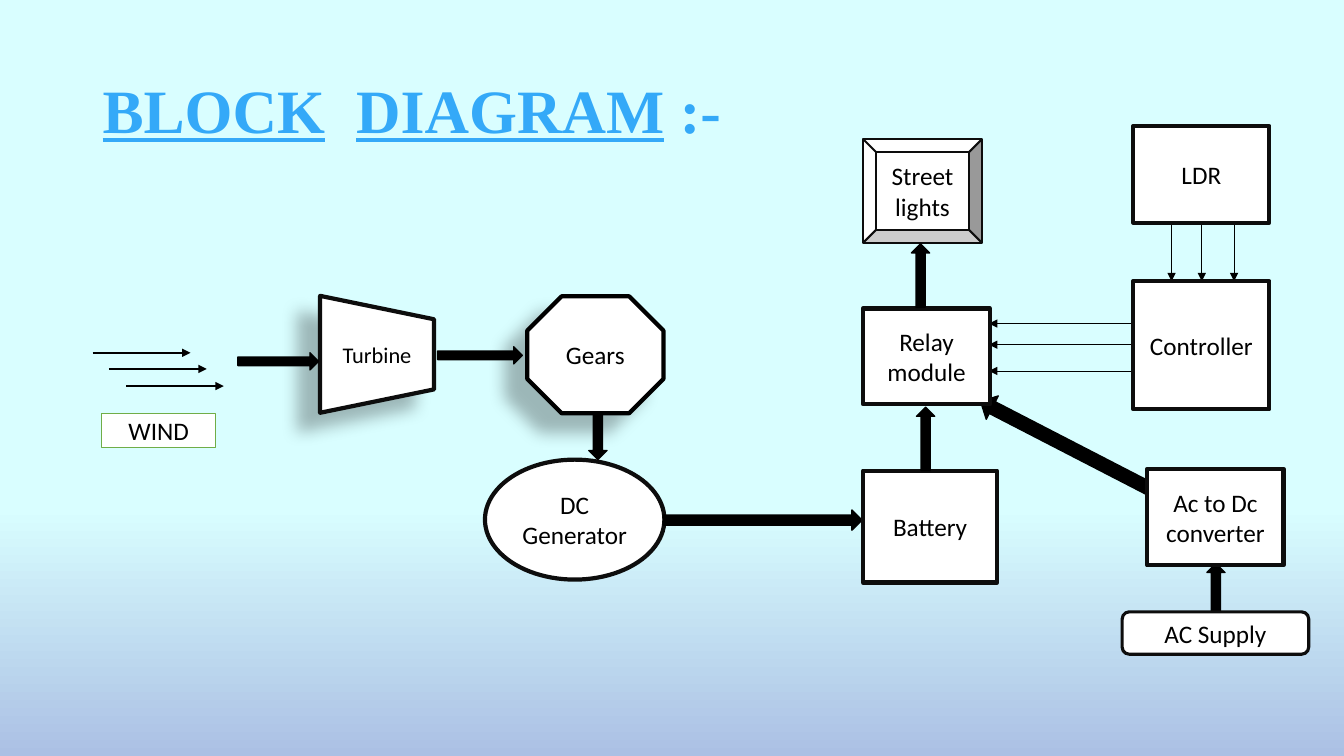
from dataclasses import dataclass
from typing import Any

from lxml import etree
from pptx import Presentation
from pptx.dml.color import RGBColor
from pptx.enum import shapes, text
from pptx.oxml.ns import qn
from pptx import util as u

PX = 9144
KIND = shapes.MSO_SHAPE


@dataclass(frozen=True)
class Theme:
    sky: str = "D9FEFF"
    dusk: str = "ABC0E4"
    heading: str = "34A9F8"
    paper: str = "FFFFFF"
    ink: str = "000000"
    border: str = "0D0D0D"
    wind: str = "70AD47"
    body_font: str = "Calibri"
    heading_font: str = "Times New Roman"
    heading_size: int = 44
    body_size: int = 18
    small_size: int = 16


THEME = Theme()


def rgb(colour):
    return RGBColor.from_string(colour)


@dataclass
class Region:
    slide: Any
    left: int
    top: int
    width: int
    height: int

    def place(self, x, y):
        return (self.left + x) * PX, (self.top + y) * PX

    def solid(self, kind, x, y, width, height, fill, border, weight):
        part = self.slide.shapes.add_shape(kind, *self.place(x, y), width * PX, height * PX)
        part.shadow.inherit = False
        part.fill.solid()
        part.fill.fore_color.rgb = rgb(fill)
        part.line.color.rgb = rgb(border)
        part.line.width = u.Pt(weight)
        return part

    def block(self, label, kind, x, y, width, height,
              border=THEME.border, weight=3, size=THEME.body_size):
        part = self.solid(kind, x, y, width, height, THEME.paper, border, weight)
        frame = part.text_frame
        frame.word_wrap = True
        frame.vertical_anchor = text.MSO_ANCHOR.MIDDLE
        frame.text = label
        for paragraph in frame.paragraphs:
            paragraph.alignment = text.PP_ALIGN.CENTER
            for run in paragraph.runs:
                run.font.name = THEME.body_font
                run.font.size = u.Pt(size)
                run.font.color.rgb = rgb(THEME.ink)
        return part

    def arrow(self, kind, x, y, width, height):
        return self.solid(kind, x, y, width, height, THEME.ink, THEME.ink, 1)

    def signal(self, x1, y1, x2, y2, weight=0.5):
        wire = self.slide.shapes.add_connector(
            shapes.MSO_CONNECTOR.STRAIGHT, *self.place(x1, y1), *self.place(x2, y2))
        wire.line.color.rgb = rgb(THEME.ink)
        wire.line.width = u.Pt(weight)
        properties = wire._element.spPr
        etree.SubElement(properties.find(qn("a:ln")), qn("a:tailEnd"), type="triangle")
        etree.SubElement(properties, qn("a:effectLst"))


def cast_shadow(part):
    effects = part._element.spPr.find(qn("a:effectLst"))
    shadow = etree.SubElement(
        effects, qn("a:outerShdw"), blurRad=str(u.Pt(11.8)), dist=str(u.Pt(19.7)),
        dir=str(141 * 60000), algn="ctr", rotWithShape="0")
    tint = etree.SubElement(shadow, qn("a:srgbClr"), val=THEME.ink)
    etree.SubElement(tint, qn("a:alpha"), val="28000")


def paint_sky(slide):
    fill = slide.background.fill
    fill.gradient()
    fill.gradient_angle = 270
    for stop, position, colour in zip(fill.gradient_stops, (0.67, 1), (THEME.sky, THEME.dusk)):
        stop.position = position
        stop.color.rgb = rgb(colour)


def heading(region):
    title = region.slide.shapes.add_textbox(
        *region.place(0, 0), region.width * PX, region.height * PX)
    frame = title.text_frame
    frame.word_wrap = True
    frame.vertical_anchor = text.MSO_ANCHOR.MIDDLE
    line = frame.paragraphs[0]
    line.line_spacing = 0.9
    for words, underlined in (("BLOCK", True), (" ", False), ("DIAGRAM", True), (" :-", False)):
        run = line.add_run()
        run.text = words
        run.font.name = THEME.heading_font
        run.font.size = u.Pt(THEME.heading_size)
        run.font.color.rgb = rgb(THEME.heading)
        run.font.bold = True
        run.font.underline = underlined
    word_gap = line.runs[1].font
    word_gap._element.set("spc", str(THEME.heading_size * 25))


def wind(region):
    for gust in range(3):
        shift = gust * 33 // 2
        region.signal(shift, shift, shift + 97, shift, 1.5)
    region.block("WIND", KIND.RECTANGLE, 9, 60, 113, 34, border=THEME.wind, weight=1)


def generation(region):
    turbine = region.block("Turbine", KIND.FLOWCHART_MANUAL_OPERATION, 80, 1, 116, 113,
                           size=THEME.small_size)
    turbine.rotation = 270
    turbine.text_frame._txBody.bodyPr.set("vert", "vert")
    region.block("DC\nGenerator", KIND.FLOWCHART_CONNECTOR, 245, 162, 178, 119)
    gears = region.block("Gears", KIND.OCTAGON, 287, 0, 135, 116, border=THEME.ink)
    for part in (turbine, gears):
        cast_shadow(part)
    region.arrow(KIND.RIGHT_ARROW, 0, 56, 80, 17)
    region.arrow(KIND.RIGHT_ARROW, 198, 50, 84, 17)
    region.arrow(KIND.DOWN_ARROW, 348, 116, 18, 46)
    region.arrow(KIND.RIGHT_ARROW, 422, 212, 197, 20)


def control(region):
    for x in (181, 211, 243):
        region.signal(x, 90, x, 154)
    for y in (196, 217, 243):
        region.signal(143, y, 0, y)
    region.block("LDR", KIND.RECTANGLE, 143, 0, 135, 96)
    region.block("Controller", KIND.RECTANGLE, 143, 154, 135, 127)


def supply(region):
    feed = region.arrow(KIND.DOWN_ARROW, 0, 0, 26, 190)
    feed.rotation = 117.3
    region.arrow(KIND.UP_ARROW, 153, 212, 18, 48)
    region.block("AC Supply", KIND.ROUNDED_RECTANGLE, 69, 260, 185, 42, weight=2.25)
    region.block("Ac to Dc converter", KIND.RECTANGLE, 94, 118, 135, 96)


def lighting(region):
    region.block("Battery", KIND.RECTANGLE, 0, 329, 133, 111)
    region.block("Street lights", KIND.BEVEL, 0, 0, 118, 103, weight=1.5)
    region.block("Relay module", KIND.RECTANGLE, 0, 168, 126, 95)
    for x, y in ((53, 266), (48, 104)):
        region.arrow(KIND.UP_ARROW, x, y, 18, 63)


def main():
    deck = Presentation()
    deck.slide_width, deck.slide_height = 1333 * PX, 750 * PX
    slide = deck.slides.add_slide(deck.slide_layouts[6])
    paint_sky(slide)
    heading(Region(slide, 92, 40, 1150, 145))
    wind(Region(slide, 92, 350, 130, 94))
    generation(Region(slide, 236, 294, 619, 281))
    control(Region(slide, 981, 125, 278, 281))
    supply(Region(slide, 1044, 347, 254, 302))
    lighting(Region(slide, 856, 138, 133, 440))
    deck.save("out.pptx")


if __name__ == "__main__":
    main()
